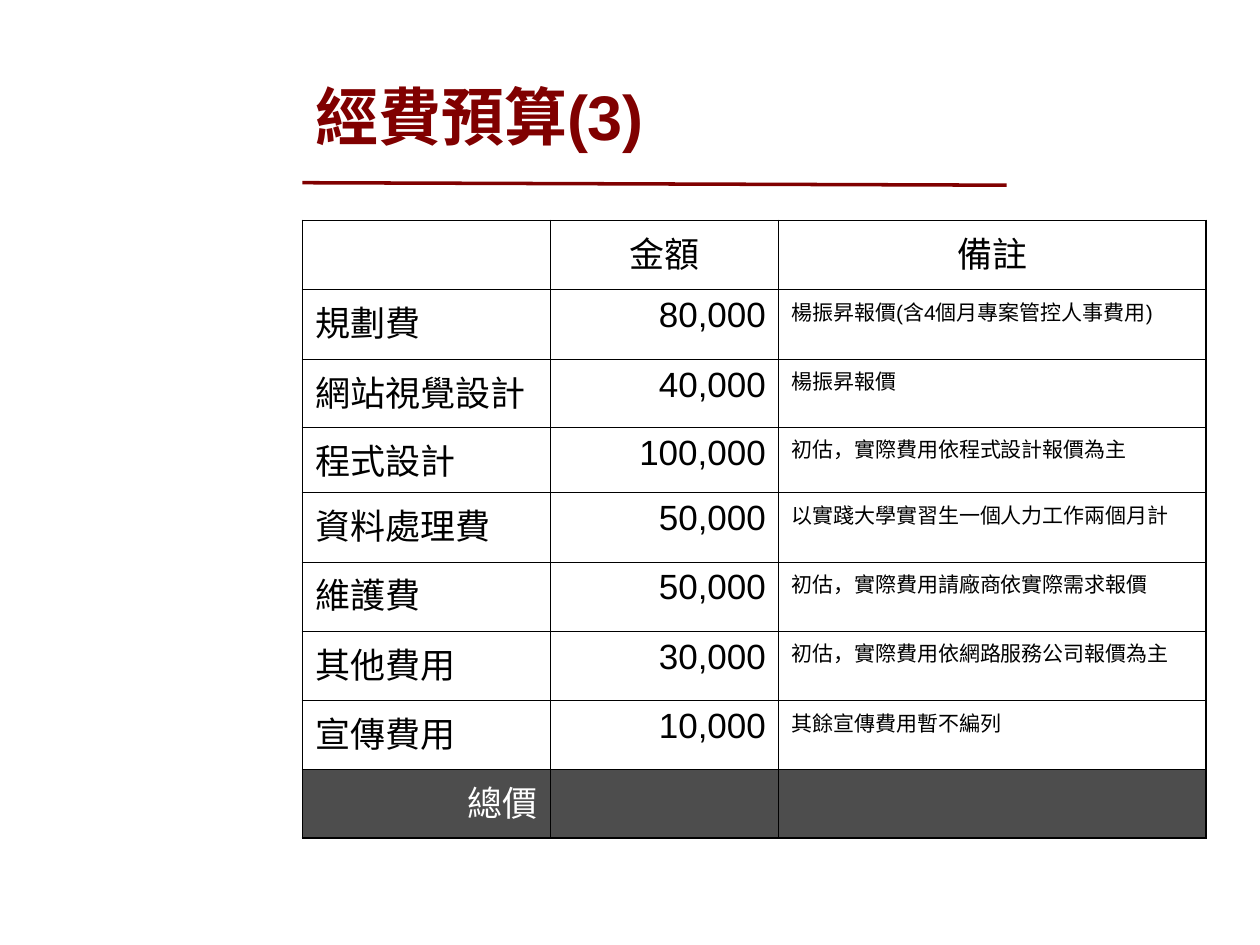
from lxml.etree import SubElement
from pptx import Presentation
from pptx.dml.color import RGBColor
from pptx.enum.shapes import MSO_CONNECTOR as Connector
from pptx.enum.text import MSO_ANCHOR as Anchor, MSO_AUTO_SIZE as AutoSize, PP_ALIGN as Align
from pptx.oxml.ns import qn
from pptx.util import Inches, Pt


def color(hex_string):
    return RGBColor.from_string(hex_string)


class BudgetSlide:
    """Holds the slide and its style, and adds each kind of element."""

    font = "Arial"
    accent = "800000"
    ink = "000000"
    total_fill = "4D4D4D"
    total_ink = "FFFFFF"
    outer_border, inner_border = 1.08, 0.45

    def __init__(self, deck):
        self.slide = deck.slides.add_slide(deck.slide_layouts[5])

    def set_text(self, paragraph, text, size, ink, align=Align.LEFT, bold=False):
        paragraph.text = text
        paragraph.alignment = align
        font = paragraph.font
        font.name, font.size, font.bold = self.font, Pt(size), bold
        font.color.rgb = color(ink)

    def title(self, text, left, top, width, height):
        heading = self.slide.shapes.title
        heading.left, heading.top = Inches(left), Inches(top)
        heading.width, heading.height = Inches(width), Inches(height)
        frame = heading.text_frame
        frame.auto_size = AutoSize.NONE
        frame.word_wrap = True
        frame.vertical_anchor = Anchor.MIDDLE
        self.set_text(frame.paragraphs[0], text, 36, self.accent, bold=True)

    def rule(self, *ends):
        underline = self.slide.shapes.add_connector(Connector.STRAIGHT, *map(Inches, ends))
        underline.line.color.rgb = color(self.accent)
        underline.line.width = Pt(2)
        SubElement(underline._element.spPr, qn("a:effectLst"))

    def borders(self, cell, outer_sides):
        properties = cell._tc.get_or_add_tcPr()
        for side in "LRTB":
            width = self.outer_border if side in outer_sides else self.inner_border
            edge = SubElement(properties, qn(f"a:ln{side}"), w=str(Pt(width)))
            SubElement(SubElement(edge, qn("a:solidFill")), qn("a:srgbClr"), val=self.ink)

    def table(self, rows, left, top, widths, heights):
        last_row, last_column = len(rows) - 1, len(widths) - 1
        grid = self.slide.shapes.add_table(
            len(rows), len(widths), Inches(left), Inches(top),
            Inches(sum(widths)), Inches(sum(heights))).table
        grid.first_row = grid.horz_banding = False
        for column, width in zip(grid.columns, widths):
            column.width = Inches(width)
        for r, (texts, height) in enumerate(zip(rows, heights)):
            grid.rows[r].height = Inches(height)
            is_total = r == last_row
            aligns = (Align.LEFT, Align.RIGHT, Align.LEFT)
            if r == 0:
                aligns = (Align.CENTER,) * 3
            elif is_total:
                aligns = (Align.RIGHT,) * 3
            for c, text in enumerate(texts):
                cell = grid.cell(r, c)
                is_note = c == last_column and 0 < r < last_row
                self.set_text(cell.text_frame.paragraphs[0], text, 12 if is_note else 20,
                              self.total_ink if is_total else self.ink, aligns[c])
                at_edge = {"L": c == 0, "R": c == last_column, "T": r == 0, "B": is_total}
                self.borders(cell, [side for side, outer in at_edge.items() if outer])
                if is_total:
                    cell.fill.solid()
                    cell.fill.fore_color.rgb = color(self.total_fill)
                else:
                    cell.fill.background()


def main():
    deck = Presentation()
    deck.slide_width, deck.slide_height = Inches(10), Inches(7.5)
    budget = BudgetSlide(deck)
    budget.rule(7.99, 1.47, 2.4, 1.45)
    budget.title("經費預算(3)", 2.4, 0.25, 7.27, 1.33)
    items = [
        ("", "金額", "備註"),
        ("規劃費", "80,000", "楊振昇報價(含4個月專案管控人事費用)"),
        ("網站視覺設計", "40,000", "楊振昇報價"),
        ("程式設計", "100,000", "初估，實際費用依程式設計報價為主"),
        ("資料處理費", "50,000", "以實踐大學實習生一個人力工作兩個月計"),
        ("維護費", "50,000", "初估，實際費用請廠商依實際需求報價"),
        ("其他費用", "30,000", "初估，實際費用依網路服務公司報價為主"),
        ("宣傳費用", "10,000", "其餘宣傳費用暫不編列"),
        ("總價", "", ""),
    ]
    heights = [0.55, 0.55, 0.54, 0.52, 0.55, 0.55, 0.55, 0.55, 0.54]
    budget.table(items, 2.4, 1.75, [1.97, 1.81, 3.39], heights)
    deck.save("out.pptx")


if __name__ == "__main__":
    main()
